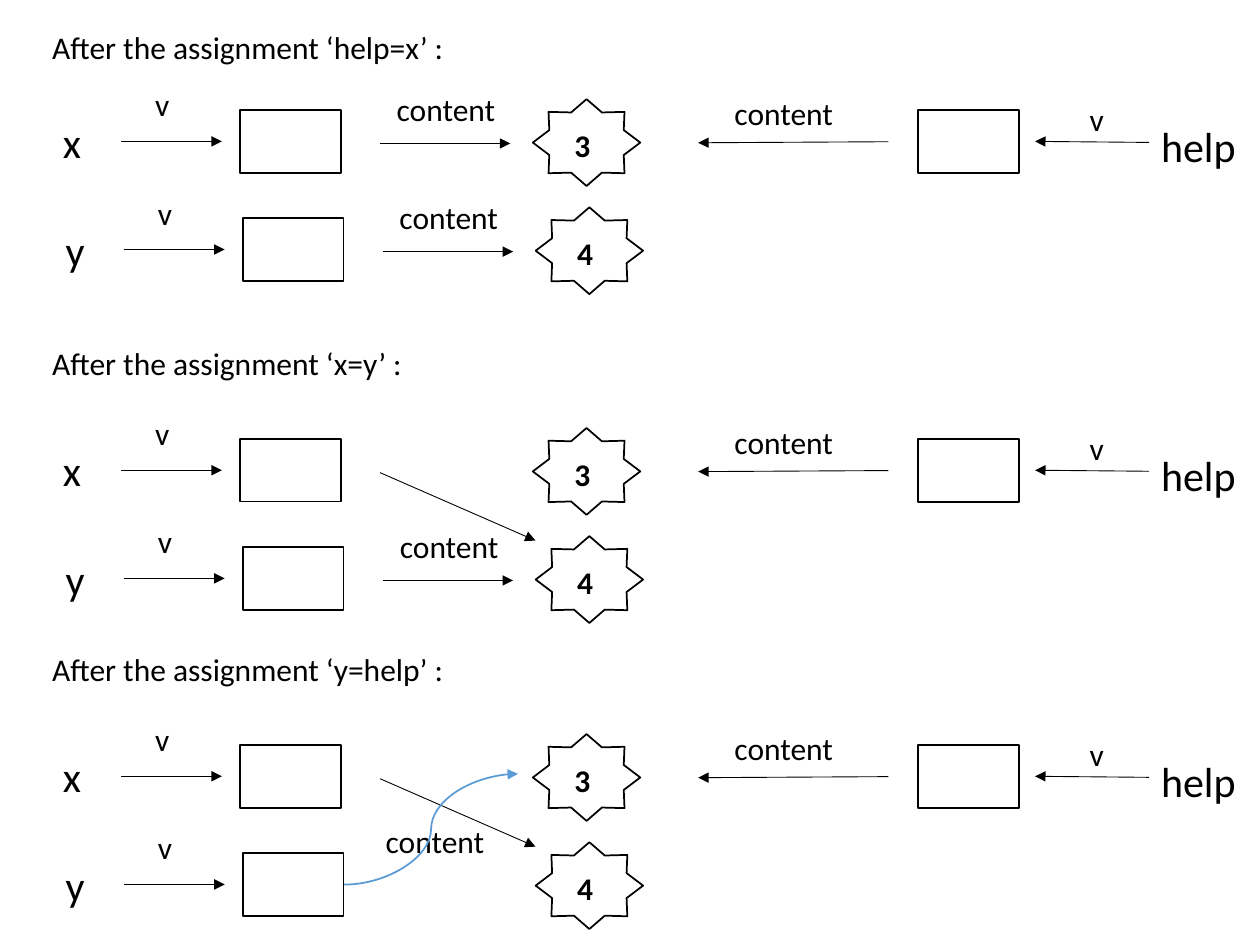
"""Draw three states of a reference-assignment diagram for x, y and help."""
from dataclasses import dataclass
from typing import Optional

import pptx
import pptx.dml.color
import pptx.enum.shapes
import pptx.enum.text
import pptx.oxml
import pptx.oxml.ns
import pptx.util

Pt = pptx.util.Pt
Shape = pptx.enum.shapes.MSO_SHAPE
Connector = pptx.enum.shapes.MSO_CONNECTOR

COLOURS = {"ink": "000000", "curve": "5B9BD5"}
FONT = "Calibri"
ROW_SHIFT = 1.6
ROW_GAP = 61.8
SMALL_HEIGHT, LARGE_HEIGHT = 28.8, 36
BOX_WIDTH, BOX_HEIGHT = 57.6, 36
STAR_WIDTH, STAR_HEIGHT = 61.4, 49.6


@dataclass(frozen=True)
class Link:
    start_x: float
    start_y: float
    end_x: float
    end_y: float
    kind: int = Connector.STRAIGHT
    colour: str = "ink"
    width: float = 0.5


@dataclass(frozen=True)
class Row:
    name: str
    value: str
    content_left: Optional[float] = None
    content_rise: float = 33.1


@dataclass(frozen=True)
class Panel:
    title: str
    title_top: float
    centre: float
    rows: tuple[Row, ...]
    links: tuple[Link, ...]


X_TO_3 = Link(217.2, 1.2, 291.6, 1.2)
X_TO_4 = Link(217.2, 1.4, 306, 40.2)
Y_TO_4 = Link(218.8, 63, 293.2, 63)
Y_TO_3 = Link(196.7, 61.9, 296, -1.4, Connector.CURVE, "curve", 1)

PANELS = (
    Panel("After the assignment ‘help=x’ :", 12.4, 80.8,
          (Row("x", "3", 219.6), Row("y", "4", 221.2)), (X_TO_3, Y_TO_4)),
    Panel("After the assignment ‘x=y’ :", 193.2, 268.7,
          (Row("x", "3"), Row("y", "4", 221.4)), (X_TO_4, Y_TO_4)),
    Panel("After the assignment ‘y=help’ :", 368, 443.6,
          (Row("x", "3"), Row("y", "4", 213.3, 39.4)), (X_TO_4, Y_TO_3)),
)


def colour_of(name: str) -> pptx.dml.color.RGBColor:
    return pptx.dml.color.RGBColor.from_string(COLOURS[name])


def add_text(slide, text: str, left: float, top: float, width: float,
             size: float = 18, bold: bool = False) -> None:
    height = LARGE_HEIGHT if size > 18 else SMALL_HEIGHT
    shape = slide.shapes.add_textbox(Pt(left), Pt(top), Pt(width), Pt(height))
    shape.text_frame.word_wrap = True
    shape.text_frame.auto_size = pptx.enum.text.MSO_AUTO_SIZE.SHAPE_TO_FIT_TEXT
    run = shape.text_frame.paragraphs[0].add_run()
    run.text = text
    run.font.name = FONT
    run.font.size = Pt(size)
    run.font.bold = bold
    run.font.color.rgb = colour_of("ink")


def add_outline(slide, preset: Shape, left: float, centre: float,
                width: float, height: float) -> None:
    shape = slide.shapes.add_shape(
        preset, Pt(left), Pt(centre - height / 2), Pt(width), Pt(height))
    shape.shadow.inherit = False
    shape.fill.background()
    shape.line.color.rgb = colour_of("ink")
    shape.line.width = Pt(1)


def add_link(slide, link: Link, centre: float) -> None:
    connector = slide.shapes.add_connector(
        link.kind, Pt(link.start_x), Pt(centre + link.start_y),
        Pt(link.end_x), Pt(centre + link.end_y))
    connector.line.color.rgb = colour_of(link.colour)
    connector.line.width = Pt(link.width)
    head = pptx.oxml.parse_xml(
        f'<a:tailEnd {pptx.oxml.ns.nsdecls("a")} type="triangle"/>')
    connector.line._get_or_add_ln().append(head)
    connector._element.spPr.append(
        pptx.oxml.parse_xml(f'<a:effectLst {pptx.oxml.ns.nsdecls("a")}/>'))


def add_row(slide, row: Row, centre: float, shift: float) -> None:
    add_text(slide, row.name, 28.8 + shift, centre - 18, 81.4, size=24)
    add_link(slide, Link(69.3 + shift, 0, 126.8 + shift, 0), centre)
    add_outline(slide, Shape.RECTANGLE, 137.2 + shift, centre,
                BOX_WIDTH, BOX_HEIGHT)
    add_text(slide, "v", 81.6 + shift, centre - 35.5, 16.6)
    add_outline(slide, Shape.STAR_8_POINT, 304.5 + shift, centre + 0.7,
                STAR_WIDTH, STAR_HEIGHT)
    if row.content_left is not None:
        add_text(slide, "content", row.content_left,
                 centre - row.content_rise, 130.3)
    add_text(slide, row.value, 321.1 + shift, centre - 12.4, 27.4, bold=True)


def add_help(slide, centre: float) -> None:
    add_text(slide, "help", 656.4, centre - 15.2, 62.6, size=24)
    add_link(slide, Link(656.6, 0.6, 591.5, 0), centre)
    add_text(slide, "v", 615.6, centre - 27.2, 16.6)
    add_outline(slide, Shape.RECTANGLE, 524.6, centre + 0.2,
                BOX_WIDTH, BOX_HEIGHT)
    add_link(slide, Link(507.6, 0.2, 399, 0.8), centre)
    add_text(slide, "content", 412.6, centre - 30.4, 130.3)


def add_panel(slide, panel: Panel) -> None:
    add_text(slide, panel.title, 22.8, panel.title_top, 268.6)
    for index, row in enumerate(panel.rows):
        add_row(slide, row, panel.centre + index * ROW_GAP, index * ROW_SHIFT)
    add_help(slide, panel.centre)
    for link in panel.links:
        add_link(slide, link, panel.centre)


def main() -> None:
    presentation = pptx.Presentation()
    presentation.slide_width = Pt(720)
    presentation.slide_height = Pt(540)
    slide = presentation.slides.add_slide(presentation.slide_layouts[6])
    for panel in PANELS:
        add_panel(slide, panel)
    presentation.save("out.pptx")


if __name__ == "__main__":
    main()
